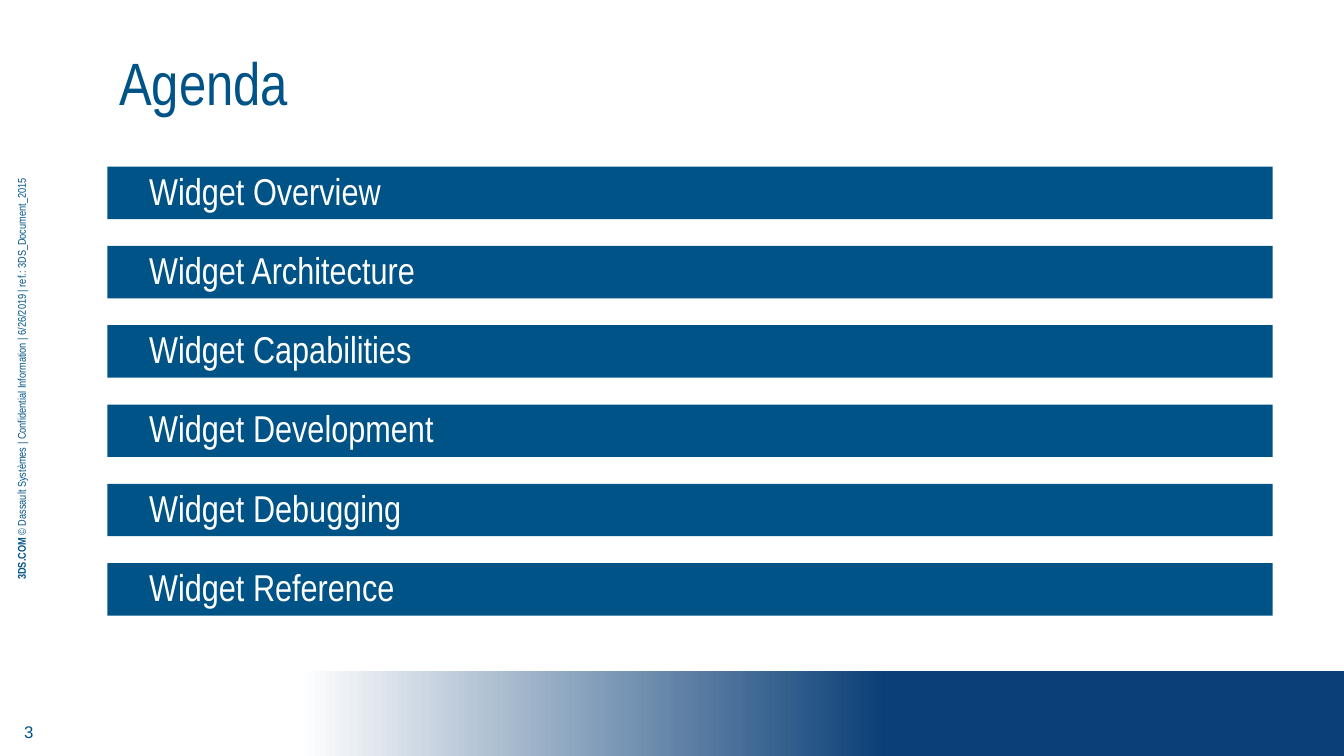
from pptx import Presentation
from pptx.dml.color import RGBColor
from pptx.enum import shapes, text
from pptx.util import Inches, Pt

TITLE = "Agenda"
TOPICS = [
    "Widget Overview",
    "Widget Architecture",
    "Widget Capabilities",
    "Widget Development",
    "Widget Debugging",
    "Widget Reference",
]
PAGE_NUMBER = "3"
FOOTER = [
    ("3DS.COM ", True),
    ("© Dassault Systèmes | Confidential Information | 6/26/2019 | ref.: 3DS_Document_2015", False),
]

BLUE, NAVY, WHITE = "005386", "0B3F77", "FFFFFF"
BAR_LEFT, BAR_TOP, BAR_WIDTH, BAR_HEIGHT, BAR_PITCH = 0.8, 1.24, 8.67, 0.39, 0.59
GRADIENT = [(0.09, WHITE), (0.6, NAVY)]


def rgb(value):
    return RGBColor.from_string(value)


def add_rect(slide, left, top, width, height):
    sp = slide.shapes.add_shape(
        shapes.MSO_SHAPE.RECTANGLE,
        Inches(left), Inches(top), Inches(width), Inches(height))
    sp.shadow.inherit = False
    sp.line.fill.background()
    return sp


def write(sp, runs, size, color=BLUE, font="Arial Narrow",
          align=text.PP_ALIGN.LEFT, anchor=text.MSO_ANCHOR.MIDDLE):
    tf = sp.text_frame
    tf.word_wrap = True
    tf.vertical_anchor = anchor
    p = tf.paragraphs[0]
    p.alignment = align
    p.font.name, p.font.size = font, Pt(size)
    p.font.color.rgb = rgb(color)
    for words, bold in runs:
        r = p.add_run()
        r.text = words
        if bold:
            r.font.bold = True
    return tf


def add_text(slide, left, top, width, height, runs, size, **style):
    sp = slide.shapes.add_textbox(
        Inches(left), Inches(top), Inches(width), Inches(height))
    write(sp, runs, size, **style)
    return sp


# Widescreen 16:9 slide
prs = Presentation()
prs.slide_width = Inches(10)
prs.slide_height = prs.slide_width * 9 // 16
s = prs.slides.add_slide(prs.slide_layouts[6])

# Gradient band along the bottom
band = add_rect(s, 1.47, 4.99, 8.53, 0.63)
band.top = prs.slide_height - band.height
band.fill.gradient()
band.fill.gradient_angle = 0
for stop, (position, color) in zip(band.fill.gradient_stops, GRADIENT):
    stop.position = position
    stop.color.rgb = rgb(color)

# Page number and vertical footer
add_text(s, 0, 5.25, 0.43, 0.39, [(PAGE_NUMBER, False)], 9,
         font="Arial", align=text.PP_ALIGN.CENTER)
footer = add_text(s, -2.66, 2.72, 5.64, 0.2, FOOTER, 6,
                  align=text.PP_ALIGN.CENTER, anchor=text.MSO_ANCHOR.TOP)
footer.rotation = 270

# Title
add_text(s, 0.79, 0.4, 8.66, 0.41, [(TITLE, False)], 32)

# Agenda bars
for i, topic in enumerate(TOPICS):
    bar = add_rect(s, BAR_LEFT, BAR_TOP + i * BAR_PITCH, BAR_WIDTH, BAR_HEIGHT)
    bar.fill.solid()
    bar.fill.fore_color.rgb = rgb(BLUE)
    tf = write(bar, [(topic, False)], 20, color=WHITE)
    tf.margin_left, tf.margin_right = Inches(0.31), Inches(0.08)
    tf.margin_top = tf.margin_bottom = Inches(0.04)
    tf.paragraphs[0].line_spacing = 0.9

prs.save("out.pptx")
